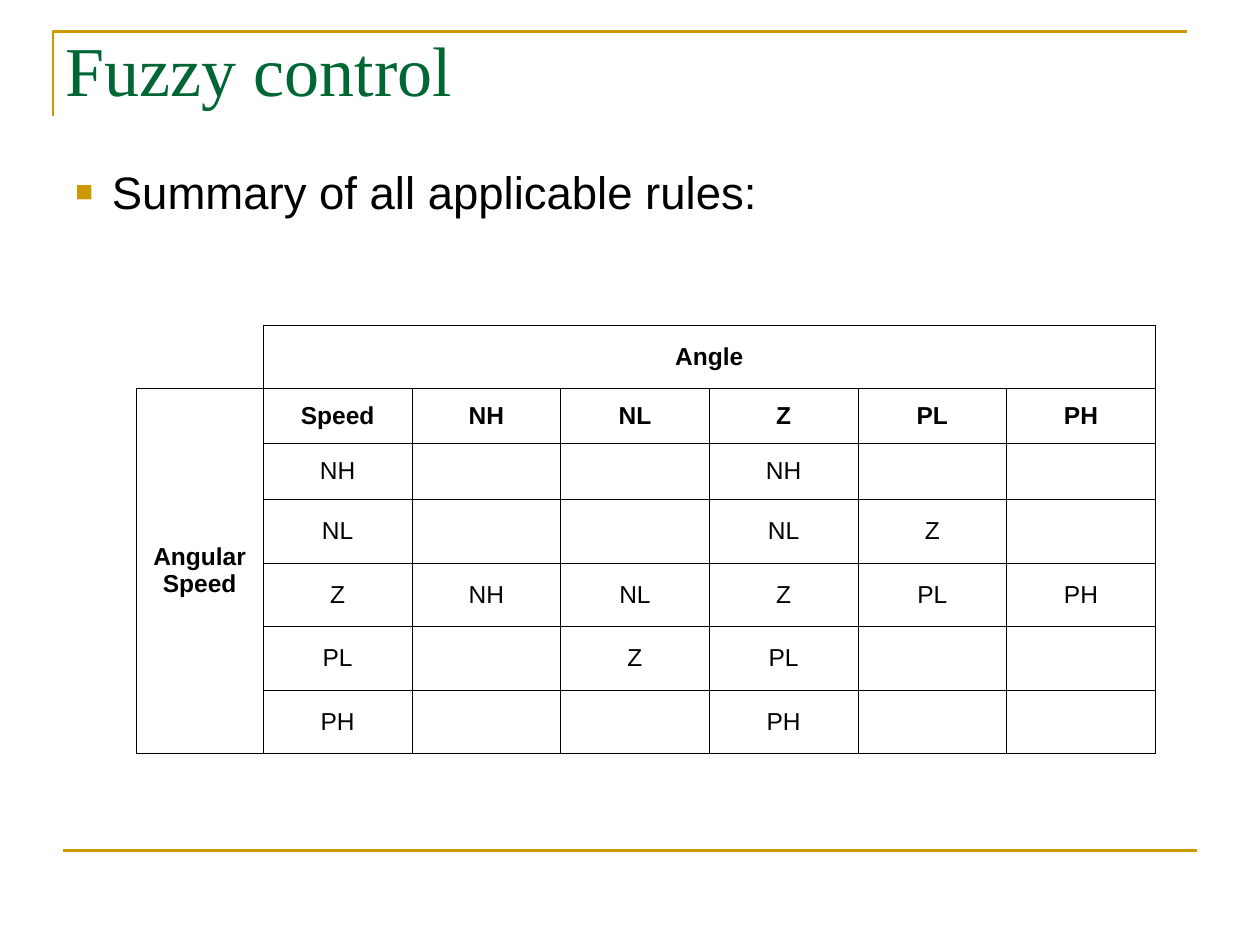
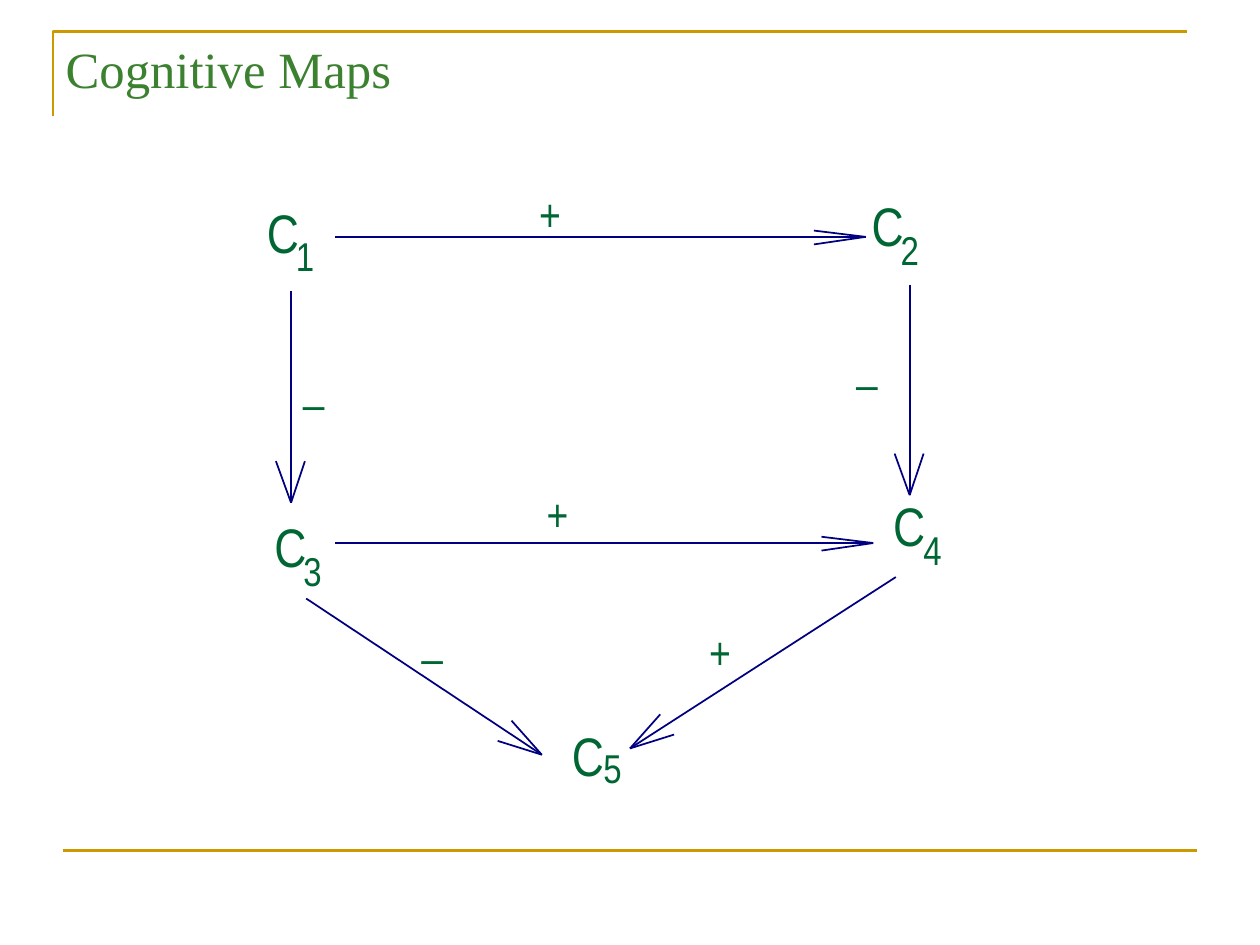
from lxml import etree
from pptx import Presentation
from pptx.dml.color import RGBColor
from pptx.enum.shapes import MSO_CONNECTOR
from pptx.enum.text import MSO_ANCHOR, MSO_AUTO_SIZE, PP_ALIGN
from pptx.oxml.ns import qn
from pptx.util import Inches, Pt

STRAIGHT = MSO_CONNECTOR.STRAIGHT
MIDDLE = MSO_ANCHOR.MIDDLE
NO_FIT, GROW = MSO_AUTO_SIZE.NONE, MSO_AUTO_SIZE.SHAPE_TO_FIT_TEXT
LEFT, CENTER = PP_ALIGN.LEFT, PP_ALIGN.CENTER

COLORS = {"gold": "CC9900", "green": "006633", "leaf": "3B812F",
          "navy": "000080", "black": "000000"}


def write(tf, text, size, font, color, bold=False, align=LEFT):
    p = tf.paragraphs[0]
    p.alignment = align
    r = p.add_run()
    r.text = text
    for name, value in {"size": Pt(size), "name": font, "bold": bold}.items():
        setattr(r.font, name, value)
    r.font.color.rgb = RGBColor.from_string(COLORS[color])
    return p


def line(s, start, end, color, width):
    c = s.shapes.add_connector(STRAIGHT, *(Inches(v) for v in (*start, *end)))
    c.line.color.rgb = RGBColor.from_string(COLORS[color])
    c.line.width = Pt(width)
    etree.SubElement(c._element.spPr, qn("a:effectLst"))


prs = Presentation()
prs.slide_width, prs.slide_height = Inches(10), Inches(7.5)

# Shared frame and title of both slides
slides = []
for title, size, color, width in [("Fuzzy control", 40, "green", 9),
                                  ("Cognitive Maps", 29, "leaf", 8.5)]:
    s = prs.slides.add_slide(prs.slide_layouts[5])
    fb = s.shapes.build_freeform(Inches(0.42), Inches(0.92))
    fb.add_line_segments([(Inches(0.42), Inches(0.25)),
                          (Inches(9.42), Inches(0.25))], close=False)
    corner = fb.convert_to_shape()
    corner.shadow.inherit = False
    corner.fill.background()
    corner.line.color.rgb = RGBColor.from_string(COLORS["gold"])
    corner.line.width = Pt(1.5)
    line(s, (0.5, 6.75), (9.5, 6.75), "gold", 1.5)

    sp = s.shapes.title
    sp.left, sp.top, sp.width, sp.height = (
        Inches(v) for v in (0.42, 0.25, width, 0.58))
    tf = sp.text_frame
    tf.auto_size, tf.vertical_anchor = NO_FIT, MIDDLE
    write(tf, title, size, "Times New Roman", color)
    slides.append(s)
rules_slide, map_slide = slides

# Fuzzy control: bullet
sp = rules_slide.shapes.add_textbox(Inches(0.5), Inches(1.25), Inches(9.17), Inches(0.83))
sp.text_frame.word_wrap = True
p = write(sp.text_frame, "Summary of all applicable rules:", 26, "Arial", "black")
p.space_before = Pt(6.5)
pPr = p._p.get_or_add_pPr()
pPr.set("marL", str(Inches(0.29)))
pPr.set("indent", str(-Inches(0.29)))
bu_color = etree.SubElement(pPr, qn("a:buClr"))
etree.SubElement(bu_color, qn("a:srgbClr"), val=COLORS["gold"])
etree.SubElement(pPr, qn("a:buSzPct"), val="65000")
etree.SubElement(pPr, qn("a:buFont"), typeface="Arial")
etree.SubElement(pPr, qn("a:buChar"), char="■")

# Fuzzy control: rule table
rules = [
    ["", "Angle", "", "", "", "", ""],
    ["Angular Speed", "Speed", "NH", "NL", "Z", "PL", "PH"],
    ["", "NH", "", "", "NH", "", ""],
    ["", "NL", "", "", "NL", "Z", ""],
    ["", "Z", "NH", "NL", "Z", "PL", "PH"],
    ["", "PL", "", "Z", "PL", "", ""],
    ["", "PH", "", "", "PH", "", ""],
]
col_widths = [1.01] + [1.18] * 6
row_heights = [0.5, 0.44, 0.44, 0.51, 0.5, 0.51, 0.5]
table = rules_slide.shapes.add_table(7, 7, Inches(1.08), Inches(2.58),
                                     Inches(8.08), Inches(3.39)).table
table.first_row = table.horz_banding = False
for col, w in zip(table.columns, col_widths):
    col.width = Inches(w)
for row, h in zip(table.rows, row_heights):
    row.height = Inches(h)
table.cell(0, 1).merge(table.cell(0, 6))
table.cell(1, 0).merge(table.cell(6, 0))

for i, row in enumerate(rules):
    for j, text in enumerate(row):
        cell = table.cell(i, j)
        cell.vertical_anchor = MIDDLE
        if text:
            write(cell.text_frame, text, 14, "Arial", "black", i < 2, CENTER)
        # The empty corner cell has only its inner borders
        sides = ("lnR", "lnB") if i == j == 0 else ("lnL", "lnR", "lnT", "lnB")
        tcPr = cell._tc.get_or_add_tcPr()
        for side in sides:
            ln = etree.SubElement(tcPr, qn(f"a:{side}"), w=str(Pt(0.45)))
            fill = etree.SubElement(ln, qn("a:solidFill"))
            etree.SubElement(fill, qn("a:srgbClr"), val=COLORS["black"])
        cell.fill.background()

# Cognitive map: arrows, each with two open barbs given from the tip
down = [(-0.12, -0.33), (0.11, -0.33)]
right = [(-0.41, -0.05), (-0.41, 0.06)]
down_right = [(-0.24, -0.27), (-0.35, -0.11)]
down_left = [(-dx, dy) for dx, dy in down_right]
arrows = [
    ((2.31, 2.31), (2.31, 3.99), down),
    ((7.22, 2.26), (7.22, 3.93), down),
    ((2.66, 1.88), (6.87, 1.88), right),
    ((2.66, 4.31), (6.93, 4.31), right),
    ((2.43, 4.75), (4.3, 5.99), down_right),
    ((7.11, 4.58), (5, 5.94), down_left),
]
for start, tip, barbs in arrows:
    line(map_slide, start, tip, "navy", 1)
    for dx, dy in barbs:
        line(map_slide, (tip[0] + dx, tip[1] + dy), tip, "navy", 1)

# Cognitive map: concept letters, their indices and the arrow signs
concepts = [(2.02, 1.53, 0.23, 0.26), (6.82, 1.48, 0.23, 0.26),
            (2.08, 4.02, 0.23, 0.27), (6.99, 3.86, 0.24, 0.26),
            (4.44, 5.68, 0.25, 0.17)]
labels = []
for n, (x, y, dx, dy) in enumerate(concepts, 1):
    labels.append(("C", x, y, 0.46, 0.62, 31))
    labels.append((str(n), x + dx, y + dy, 0.35, 0.48, 23))
signs = [("_", 2.31, 2.78), ("+", 4.18, 1.43), ("+", 5.53, 4.9),
         ("+", 4.24, 3.81), ("_", 3.25, 4.79), ("_", 6.7, 2.62)]
labels += [(sign, x, y, 0.38, 0.53, 26) for sign, x, y in signs]
for text, x, y, w, h, size in labels:
    sp = map_slide.shapes.add_textbox(*(Inches(v) for v in (x, y, w, h)))
    tf = sp.text_frame
    tf.word_wrap, tf.auto_size = False, GROW
    write(tf, text, size, "Arial Narrow", "green")

prs.save("out.pptx")
